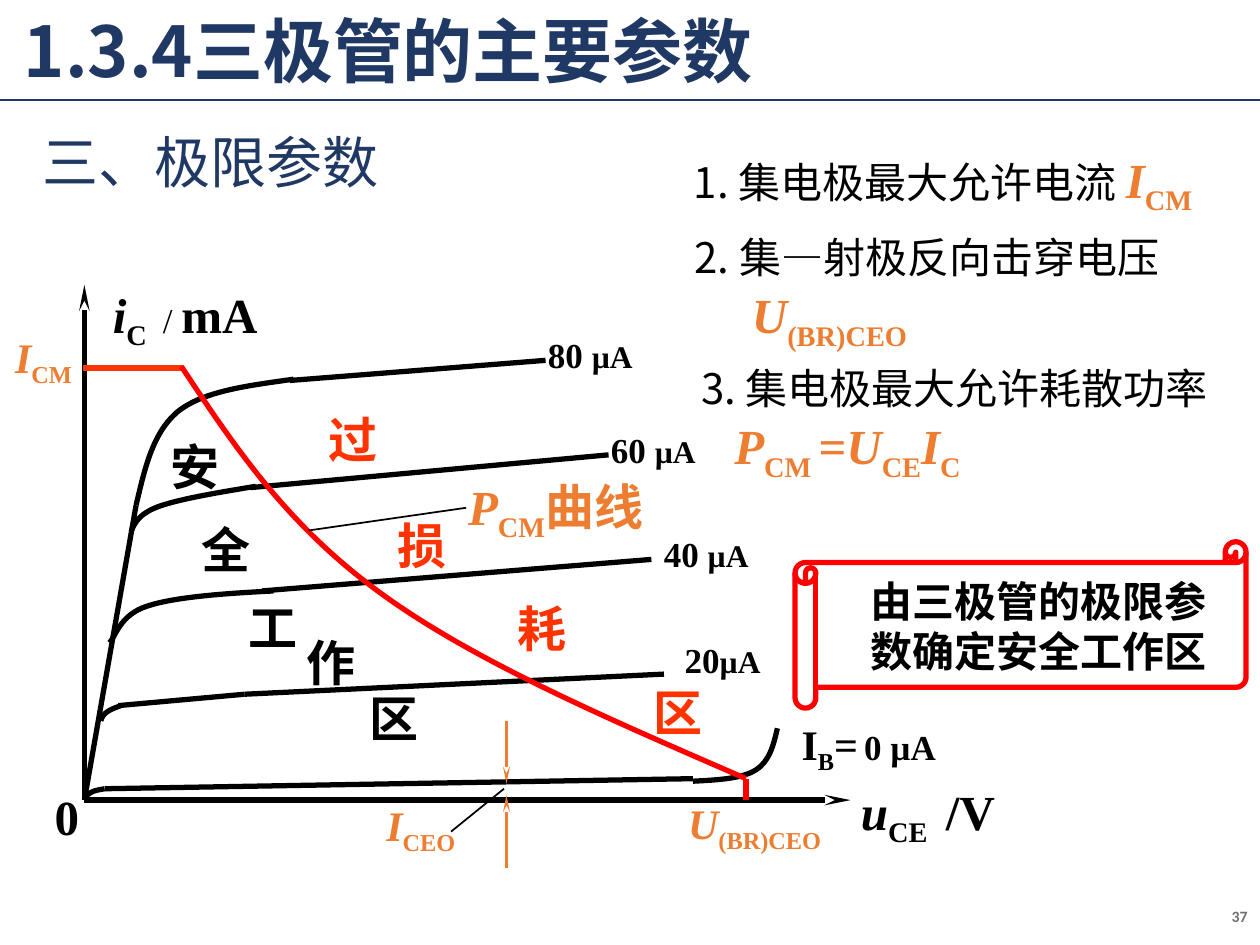
from pptx import Presentation
from pptx.dml.color import RGBColor
from pptx.enum.shapes import MSO_CONNECTOR, MSO_SHAPE
from pptx.enum.text import MSO_ANCHOR, PP_ALIGN
from pptx.oxml.ns import qn
from pptx.util import Inches, Pt
from lxml.etree import SubElement

CELL = Inches(0.1)
COLUMNS, ROWS = 100, 75
BLACK, NAVY, ORANGE, RED, SCARLET = "000000", "203864", "ED7D31", "FF0000", "FF3300"
SERIF, SANS = "Times New Roman", "Noto Sans CJK SC"


def cells(*counts):
    return [round(count * CELL) for count in counts]


def paint(target, color):
    target.fill.solid()
    target.fill.fore_color.rgb = RGBColor.from_string(color)


def subscript(text):
    return text, {"baseline": -25, "italic": False}


def slanted(text):
    return text, {"italic": True}


def plain(text):
    return text, {"font": SANS, "size": 24, "color": BLACK, "bold": False}


def format_run(run, size=28, color=BLACK, font=SERIF, bold=True, italic=False, baseline=0):
    run.font.size = Pt(size)
    run.font.bold = bold
    run.font.italic = italic
    run.font.name = font
    paint(run.font, color)
    properties = run._r.get_or_add_rPr()
    SubElement(properties, qn("a:ea")).set("typeface", SANS)
    if baseline:
        properties.set("baseline", str(baseline * 1000))


def write_text(shape, paragraphs, align=PP_ALIGN.CENTER, anchor=MSO_ANCHOR.MIDDLE,
               wrap=False, spacing=None, second_indent=0, **style):
    frame = shape.text_frame
    frame.word_wrap = wrap
    frame.vertical_anchor = anchor
    for index, runs in enumerate(paragraphs):
        paragraph = frame.add_paragraph() if index else frame.paragraphs[0]
        paragraph.alignment = align
        if spacing:
            paragraph.line_spacing = spacing
        if index and second_indent:
            paragraph._p.get_or_add_pPr().set("marL", str(cells(second_indent)[0]))
            paragraph.space_before = Pt(1.7)
        for item in runs:
            text, changes = (item, {}) if isinstance(item, str) else item
            run = paragraph.add_run()
            run.text = text
            format_run(run, **{**style, **changes})


def add_text(slide, box, paragraphs, **style):
    shape = slide.shapes.add_textbox(*cells(*box))
    write_text(shape, paragraphs, **style)
    return shape


def add_line(slide, start, end, color=BLACK, width=3, arrow=False):
    connector = slide.shapes.add_connector(MSO_CONNECTOR.STRAIGHT, *cells(*start, *end))
    connector.line.color.rgb = RGBColor.from_string(color)
    connector.line.width = Pt(width)
    if arrow:
        head = SubElement(connector.line._get_or_add_ln(), qn("a:tailEnd"))
        for name, value in (("type", "stealth"), ("w", "sm"), ("len", "lg")):
            head.set(name, value)
    SubElement(connector._element.spPr, qn("a:effectLst"))


def outline_only(shape, color):
    shape.shadow.inherit = False
    shape.fill.background()
    shape.line.color.rgb = RGBColor.from_string(color)
    shape.line.width = Pt(3)


def add_curve(slide, points, color=BLACK):
    builder = slide.shapes.build_freeform(*cells(*points[0]))
    builder.add_line_segments([cells(*point) for point in points[1:]], close=False)
    shape = builder.convert_to_shape()
    outline = next(shape._element.iter(qn("a:path")))
    segments = outline.findall(qn("a:lnTo"))
    for first in range(0, len(segments), 3):
        bezier = SubElement(outline, qn("a:cubicBezTo"))
        for segment in segments[first:first + 3]:
            bezier.append(segment[0])
            outline.remove(segment)
    outline_only(shape, color)


def add_axes(slide):
    origin = (6.7, 63.5)
    add_line(slide, origin, (6.7, 22.6), arrow=True)
    add_line(slide, origin, (67.5, 63.5), arrow=True)
    add_line(slide, origin, (10.8, 40.1))
    add_text(slide, (3.3, 61.9, 4, 5.7), [["0"]])
    add_text(slide, (7.4, 22.4, 14.6, 5.7),
             [[slanted("i"), subscript("C "), (" / ", {"size": 20, "bold": False}), "mA"]])
    add_text(slide, (67, 61.8, 13.3, 5.7),
             [[slanted("u"), subscript("CE"), (" ", {"size": 24, "italic": True}),
               (" ", {"size": 18, "bold": False}), "/V"]])


def add_characteristics(slide):
    curves = [
        [(10.8, 40.1), (11.5, 37.2), (12.1, 34.3), (14.2, 32.6), (16.3, 31), (19.8, 30.6), (23.3, 30.1)],
        [(10.4, 42.2), (10.7, 41.5), (11, 40.8), (12.6, 40.2), (14.3, 39.6), (17.3, 39.1), (20.3, 38.6)],
        [(8.7, 51), (9.2, 50.5), (9.5, 48.8), (11.7, 48.1), (13.8, 47.4), (17.7, 47.1), (21.7, 46.9)],
        [(9.6, 56), (8.8, 56.3), (8.2, 56.5), (8, 57.2)],
        [(8.3, 62.6), (7.9, 62.7), (7.1, 62.7), (6.7, 63.4)],
        [(55, 62), (57, 61.9), (58.9, 61.8), (60, 61.1), (61.1, 60.4), (61.4, 59.1), (61.7, 57.8)],
    ]
    for points in curves:
        add_curve(slide, points)
    lines = [
        ((23, 30.2), (43.3, 28.6)),
        ((19.9, 38.7), (48.3, 36.1)),
        ((20.8, 46.9), (51.7, 44.4)),
        ((19.4, 55.1), (9.4, 56)),
        ((19.4, 55.1), (52.7, 53.5)),
        ((55, 61.8), (8.3, 62.6)),
    ]
    for start, end in lines:
        add_line(slide, start, end)
    for current, left, top in (("80 ", 42.5, 26), ("60 ", 47.5, 33.5),
                               ("40 ", 51.7, 41.8), ("20", 53, 50.2)):
        add_text(slide, (left, top, 8.7, 4.3), [[current, ("µA", {"size": 18})]], size=20)
    add_text(slide, (62.5, 56.8, 12.9, 5),
             [["I", subscript("B"), "=", (" ", {"size": 14}), ("0 µA", {"size": 20})]], size=24)


def add_limits(slide):
    add_line(slide, (6.6, 29.2), (14.5, 29.2), SCARLET)
    add_curve(slide, [(14.4, 29.1), (18.5, 35.3), (22.7, 41.6), (30.1, 47),
                      (37.6, 52.5), (48.4, 57.1), (59.2, 61.8)], RED)
    add_line(slide, (59.2, 61.8), (59.2, 63.5), RED)
    add_line(slide, (24.5, 42.1), (37, 40.3), width=1)
    add_line(slide, (35.8, 66), (40, 62.6), width=1)
    for start, end in ((57.2, 62.2), (68.9, 63.1)):
        add_line(slide, (40.2, start), (40.2, end), ORANGE, 1.5, arrow=True)
    for box, symbol, suffix in (((-0.1, 26, 7.1, 5.1), "I", "CM"),
                                ((29.3, 63.2, 8.2, 5), "I", "CEO"),
                                ((51.9, 63, 16, 5.1), "U", "(BR)CEO")):
        add_text(slide, box, [[slanted(symbol), subscript(suffix)]], size=24, color=ORANGE)
    add_text(slide, (35.8, 37.6, 16.6, 5.7),
             [[slanted("P"), subscript("CM"), "曲线"]], color=ORANGE, wrap=True)


def add_zone_name(slide, name, places, color):
    for character, (left, top) in zip(name, places):
        add_text(slide, (left, top, 5.9, 5.7), [[character]], color=color)


def add_parameter_list(slide):
    style = {"align": PP_ALIGN.LEFT, "wrap": True, "color": ORANGE}
    add_text(slide, (54.1, 11.35, 45, 6.3),
             [[plain("1. 集电极最大允许电流 "), slanted("I"), subscript("CM")]], **style)
    add_text(slide, (54.15, 17.6, 45, 11.1),
             [[plain("2. 集—射极反向击穿电压")], [slanted("U"), subscript("(BR)CEO")]],
             second_indent=4.55, **style)
    add_text(slide, (54.7, 28, 45, 11.1),
             [[plain("3. 集电极最大允许耗散功率")],
              [slanted("P"), subscript("CM "), "=", slanted("U"), subscript("CE"),
               slanted("I"), subscript("C")]],
             second_indent=2.6, **style)


def add_scroll(slide):
    scroll = slide.shapes.add_shape(MSO_SHAPE.HORIZONTAL_SCROLL, *cells(63.1, 43, 35.8, 13.2))
    outline_only(scroll, RED)
    caption = slide.shapes.add_shape(MSO_SHAPE.RECTANGLE, *cells(67.5, 45.1, 29.8, 9.1))
    caption.shadow.inherit = False
    caption.line.fill.background()
    paint(caption, "FFFFFF")
    write_text(caption, [["由三极管的极限参数确定安全工作区"]], size=24, wrap=True)


def add_headings(slide):
    title = slide.shapes.title
    title.left, title.top, title.width, title.height = cells(0.9, 0.85, 86.2, 7.7)
    heading = {"align": PP_ALIGN.LEFT, "font": SANS, "color": NAVY, "wrap": True, "spacing": 0.9}
    write_text(title, [["1.3.4三极管的主要参数"]], anchor=MSO_ANCHOR.TOP, size=40, **heading)
    add_line(slide, (0, 7.93), (COLUMNS, 7.93), NAVY, 1)
    add_text(slide, (2.4, 10.2, 32.7, 5.9), [["三、极限参数"]], size=32, bold=False, **heading)
    add_text(slide, (77.5, 70.7, 22.5, 4), [["37"]], align=PP_ALIGN.RIGHT, wrap=True,
             size=9, font="Calibri", color="767171")


def main():
    presentation = Presentation()
    presentation.slide_width, presentation.slide_height = cells(COLUMNS, ROWS)
    slide = presentation.slides.add_slide(presentation.slide_layouts[5])
    add_headings(slide)
    add_parameter_list(slide)
    add_axes(slide)
    add_characteristics(slide)
    add_scroll(slide)
    add_limits(slide)
    add_zone_name(slide, "安全工作区",
                  [(12.5, 34.1), (15, 40.7), (18.7, 46.9), (23.3, 49.7), (28.3, 54.1)], BLACK)
    add_zone_name(slide, "过损耗区",
                  [(25.05, 32), (30.5, 40.4), (40.05, 47), (50.85, 53.65)], SCARLET)
    presentation.save("out.pptx")


if __name__ == "__main__":
    main()
